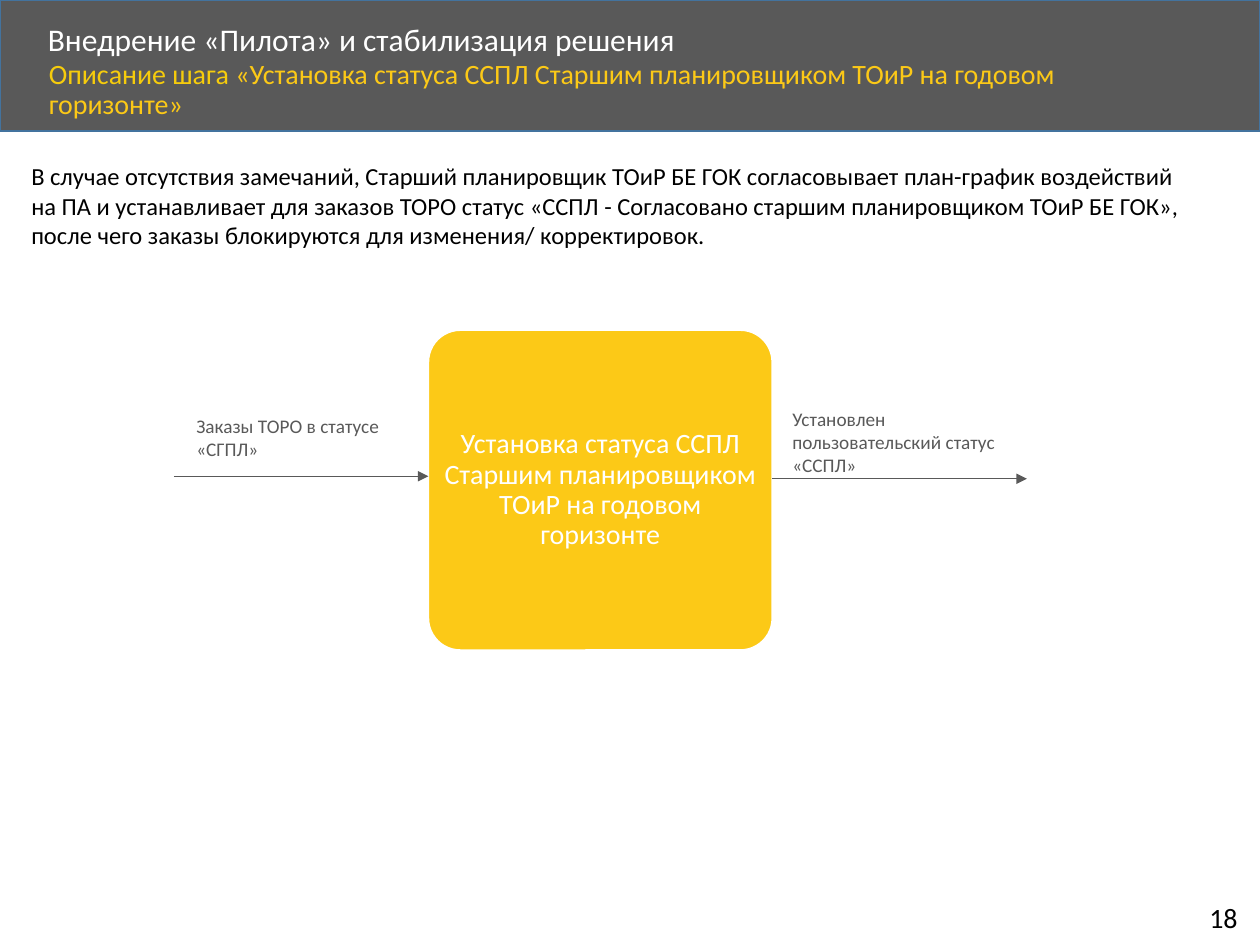
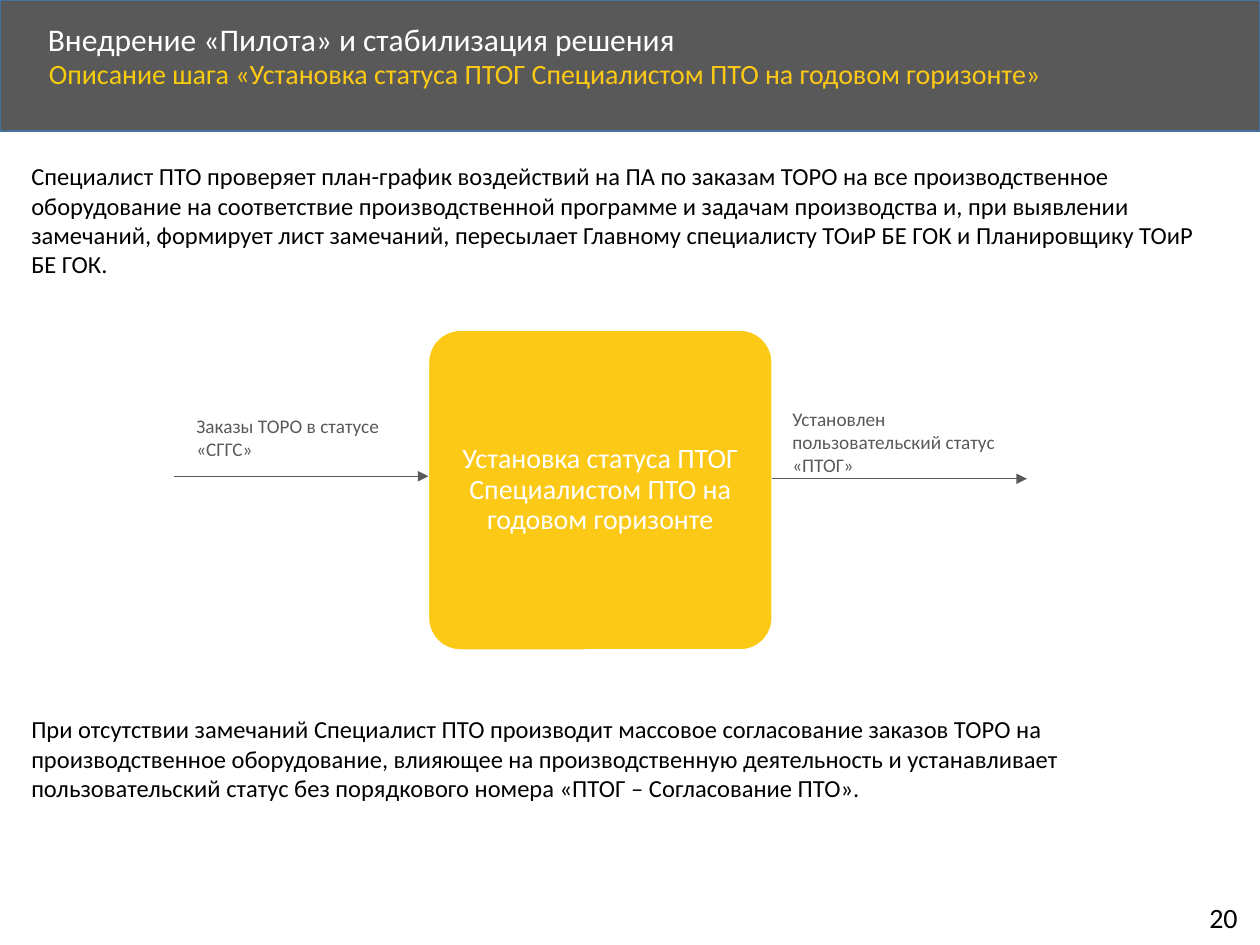
"""Builds two slides that describe order status steps of the yearly planning process."""
from pptx import Presentation
from pptx.dml.color import RGBColor
from pptx.enum.shapes import MSO_CONNECTOR, MSO_SHAPE
from pptx.enum.text import MSO_ANCHOR, MSO_AUTO_SIZE as FIT, PP_ALIGN
from pptx.oxml.ns import qn
from pptx.util import Pt
from lxml import etree

PX = 9144
FONT = "Calibri"
C = {"gray": "595959", "edge": "43739E", "yellow": "FCC917", "gold": "F6CC0C",
     "white": "FFFFFF", "black": "000000"}
HEADING = "Внедрение «Пилота» и стабилизация решения"
STEPS = [
    {
        "number": "18",
        "step": "Установка статуса ССПЛ Старшим планировщиком ТОиР на годовом горизонте",
        "input": "Заказы ТОРО в статусе «СГПЛ»",
        "output": "Установлен пользовательский статус «ССПЛ»",
        "notes": [
            (123, 81, "В случае отсутствия замечаний, Старший планировщик ТОиР БЕ ГОК "
             "согласовывает план-график воздействий на ПА и устанавливает для заказов ТОРО "
             "статус «ССПЛ - Согласовано старшим планировщиком ТОиР БЕ ГОК», после чего "
             "заказы блокируются для изменения/ корректировок."),
        ],
    },
    {
        "number": "20",
        "step": "Установка статуса ПТОГ Специалистом ПТО на годовом горизонте",
        "input": "Заказы ТОРО в статусе «СГГС»",
        "output": "Установлен пользовательский статус «ПТОГ»",
        "notes": [
            (123, 104, "Специалист ПТО проверяет план-график воздействий на ПА по заказам ТОРО "
             "на все производственное оборудование на соответствие производственной программе "
             "и задачам производства и, при выявлении замечаний, формирует лист замечаний, "
             "пересылает Главному специалисту ТОиР БЕ ГОК и Планировщику ТОиР БЕ ГОК."),
            (562, 81, "При отсутствии замечаний Специалист ПТО производит массовое согласование "
             "заказов ТОРО на производственное оборудование, влияющее на производственную "
             "деятельность и устанавливает пользовательский статус без порядкового номера "
             "«ПТОГ – Согласование ПТО»."),
        ],
    },
]


def write(sp, runs, size, frame=None, para=None):
    """Fill a shape with one paragraph of (text, colour) runs."""
    tf = sp.text_frame
    for name, value in {"word_wrap": True, "auto_size": FIT.NONE, **(frame or {})}.items():
        setattr(tf, name, value)
    p = tf.paragraphs[0]
    for name, value in (para or {}).items():
        setattr(p, name, value)
    for text, color in runs:
        r = p.add_run()
        r.text = text
        for name, value in {"name": FONT, "size": Pt(size)}.items():
            setattr(r.font, name, value)
        r.font.color.rgb = RGBColor.from_string(C[color])


def add_block(shapes, kind, box, fill, line):
    """Add a filled preset shape with a one point outline."""
    sp = shapes.add_shape(kind, *(v * PX for v in box))
    sp.shadow.inherit = False
    sp.fill.solid()
    sp.fill.fore_color.rgb = RGBColor.from_string(C[fill])
    sp.line.color.rgb = RGBColor.from_string(C[line])
    sp.line.width = Pt(1)
    return sp


prs = Presentation()
prs.slide_width, prs.slide_height = 1000 * PX, 750 * PX

for step in STEPS:
    s = prs.slides.add_slide(prs.slide_layouts[5])
    shapes = s.shapes

    title = shapes.title
    for name, value in zip(("left", "top", "width", "height"), (28, 14, 807, 38)):
        setattr(title, name, value * PX)
    write(title, [(HEADING, "white")], 18, {"vertical_anchor": MSO_ANCHOR.MIDDLE},
          {"alignment": PP_ALIGN.LEFT, "line_spacing": 0.9})
    band = add_block(shapes, MSO_SHAPE.RECTANGLE, (0, 0, 1000, 104), "gray", "edge")
    title.element.addprevious(band.element)

    card = add_block(shapes, MSO_SHAPE.ROUNDED_RECTANGLE, (340, 262, 273, 254),
                     "yellow", "white")
    card.adjustments[0] = 0.1
    margins = {f"margin_{side}": 0 for side in ("left", "top", "right", "bottom")}
    write(card, [(step["step"], "white")], 16,
          {"vertical_anchor": MSO_ANCHOR.MIDDLE, **margins},
          {"alignment": PP_ALIGN.CENTER, "line_spacing": 0.9})

    for left, y in ((138, 378), (613, 380)):
        arrow = shapes.add_connector(MSO_CONNECTOR.STRAIGHT, left * PX, y * PX,
                                     (left + 202) * PX, y * PX)
        arrow.line.color.rgb = RGBColor.from_string(C["gray"])
        arrow.line.width = Pt(0.5)
        etree.SubElement(arrow.line._get_or_add_ln(), qn("a:tailEnd"), type="triangle")
        etree.SubElement(arrow.element.spPr, qn("a:effectLst"))

    subtitle = [("Описание шага ", "gold"), (f"«{step['step']}»", "yellow")]
    grow = {"auto_size": FIT.SHAPE_TO_FIT_TEXT}
    texts = [
        ((29, 43, 867, 45), subtitle, 16, {}, {"line_spacing": 0.9}),
        ((146, 324, 200, 47), [(step["input"], "gray")], 11, grow, {}),
        ((619, 318, 200, 66), [(step["output"], "gray")], 11, grow, {}),
        ((950, 710, 46, 37), [(step["number"], "black")], 16, {**grow, "word_wrap": False}, {}),
    ]
    for top, height, note in step["notes"]:
        texts.append(((15, top, 946, height), [(note, "black")], 14, grow, {}))
    for box, runs, size, frame, para in texts:
        write(shapes.add_textbox(*(v * PX for v in box)), runs, size, frame, para)

prs.save("out.pptx")
